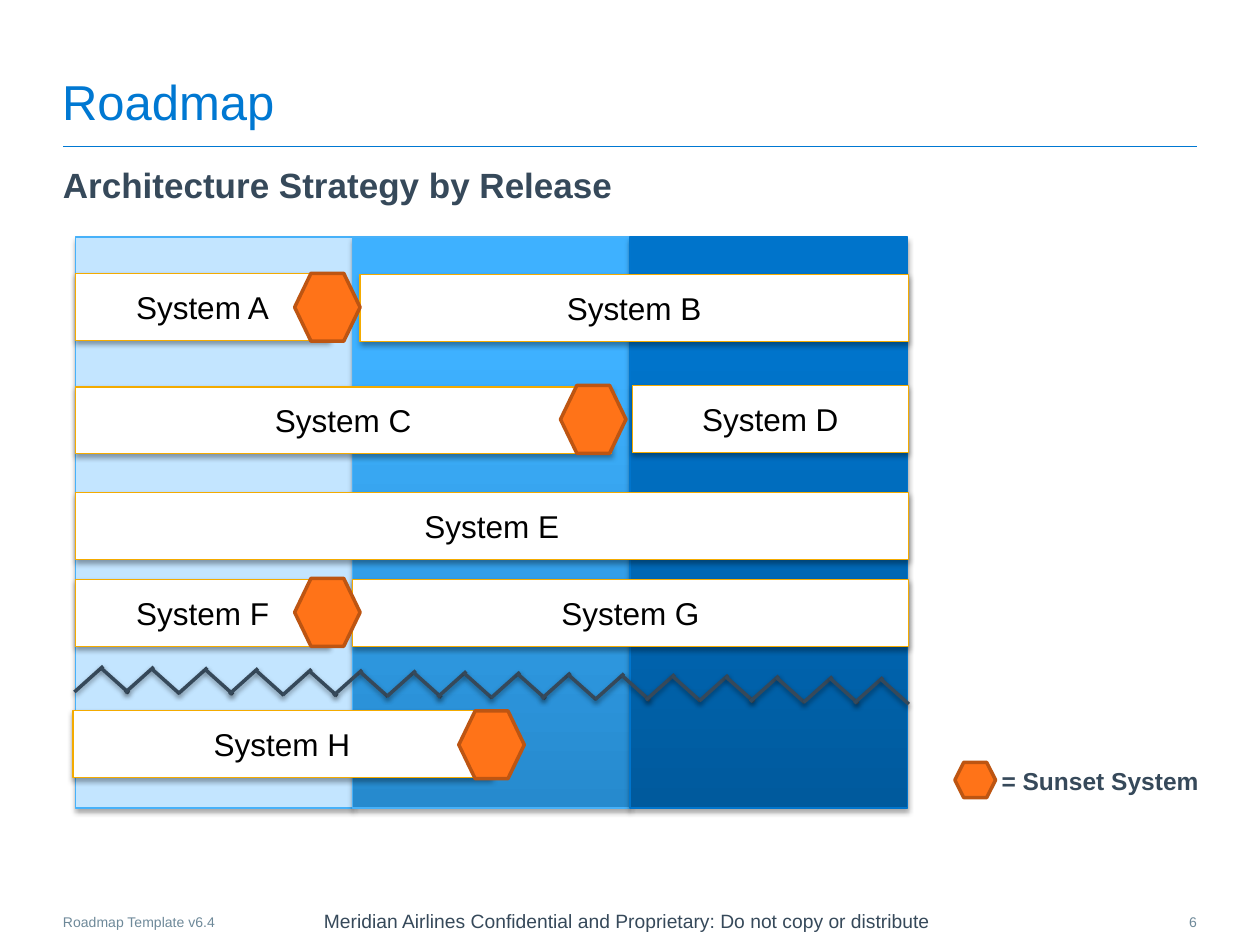
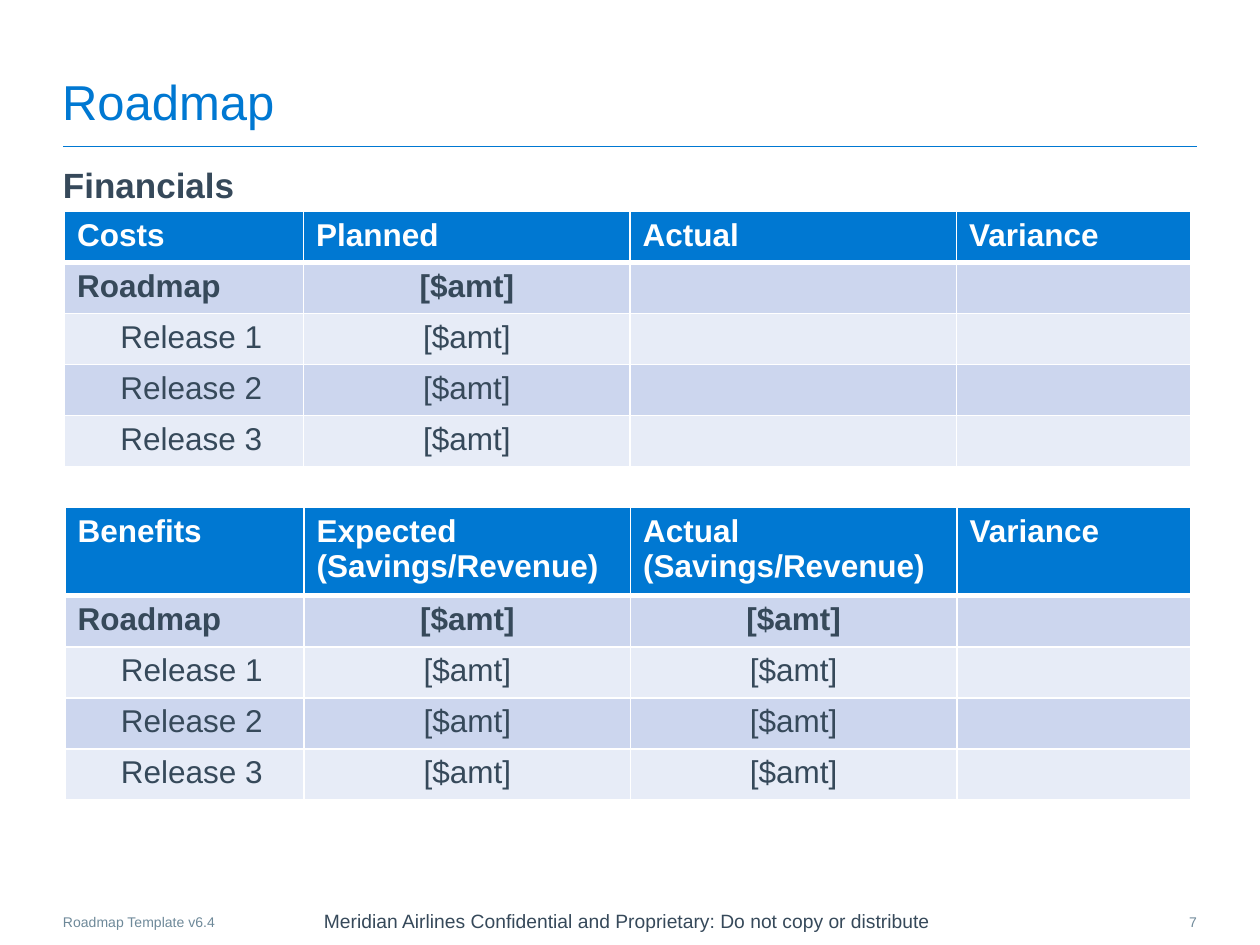
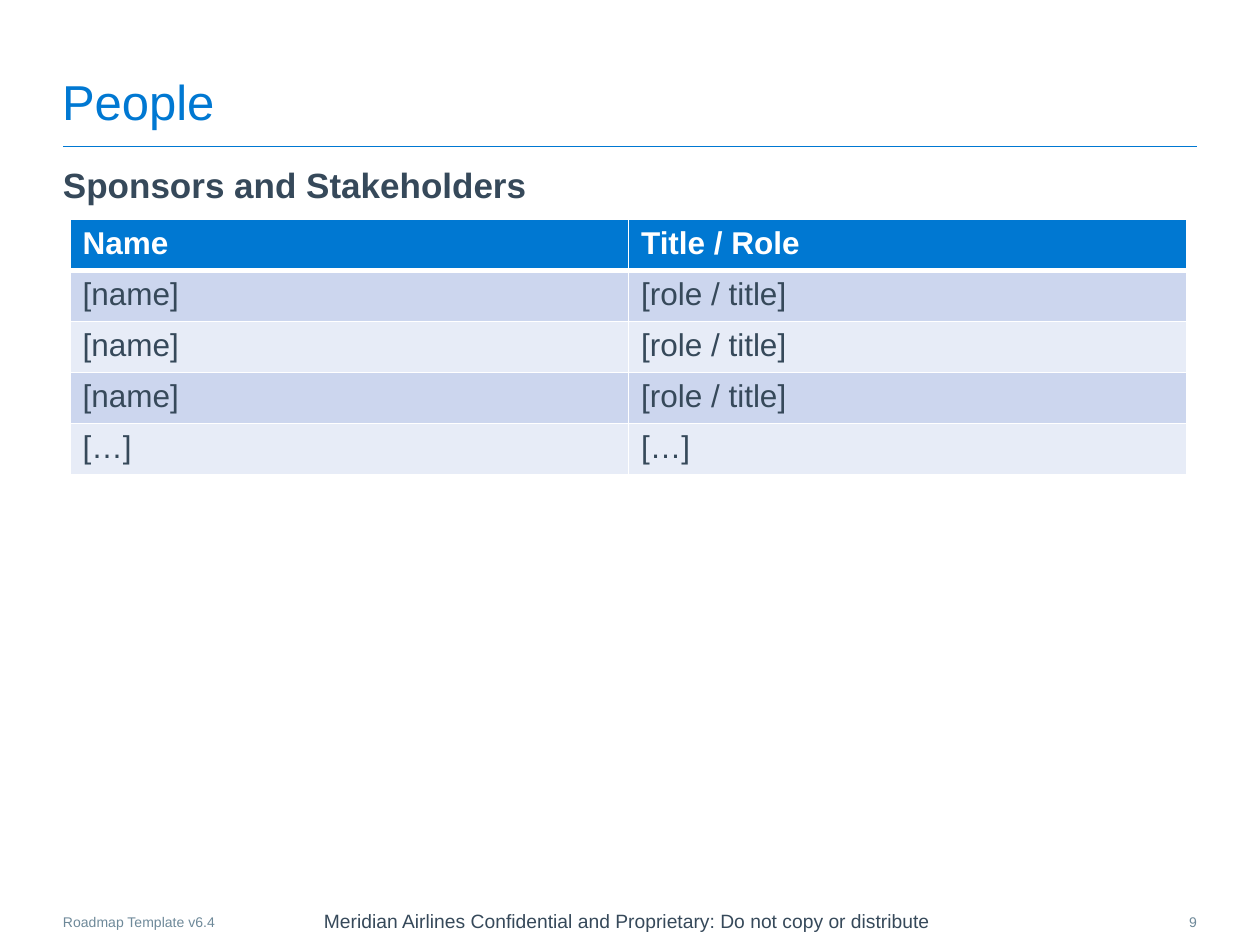
import dataclasses

import lxml.etree
import pptx
import pptx.dml.color
import pptx.enum.shapes
import pptx.enum.text
import pptx.oxml.ns
import pptx.util

Cm = pptx.util.Cm
Pt = pptx.util.Pt
qn = pptx.oxml.ns.qn
SHAPE = pptx.enum.shapes.MSO_SHAPE
ALIGN = pptx.enum.text.PP_ALIGN
ANCHOR = pptx.enum.text.MSO_ANCHOR


@dataclasses.dataclass(frozen=True)
class Theme:
    """Colours and type sizes of the deck."""
    font: str = "Arial"
    blue: str = "0078D2"
    slate: str = "36495A"
    grey: str = "6E8999"
    white: str = "FFFFFF"
    black: str = "000000"
    bar_line: str = "F4AB00"
    sunset: str = "FF7318"
    sunset_line: str = "BD5512"
    bands: tuple = ("CCD6EE", "E7ECF7")
    releases: tuple = (
        (("C3E5FF",), "47B1F9"),
        (("268ACE", "3EB1FF"), "47B1F9"),
        (("005A9D", "0074CB"), "0075CD"),
    )
    title: int = 28
    heading: int = 20
    body: int = 18
    legend: int = 14
    notice: int = 11
    small: int = 8


THEME = Theme()
AMOUNT = "[$amt]"
FINANCE_COLS = (4.82, 6.58, 6.58, 4.72)
SYSTEMS = (
    ("System A", 1.52, 5.51, 5.13),
    ("System B", 7.26, 5.54, 11.05),
    ("System C", 1.52, 7.8, 10.8),
    ("System D", 12.75, 7.77, 5.56),
    ("System E", 1.52, 9.93, 16.79),
    ("System F", 1.52, 11.68, 5.13),
    ("System G", 7.11, 11.68, 11.2),
    ("System H", 1.47, 14.33, 8.43),
)
SUNSETS = ((5.94, 5.51), (11.3, 7.77), (5.94, 11.66), (9.25, 14.33))


def rgb(value):
    """Return the colour for a hex string."""
    return pptx.dml.color.RGBColor.from_string(value)


def write(tf, text, size, color, bold=False, align=ALIGN.LEFT):
    """Fill a text frame, one paragraph for each line."""
    for i, line in enumerate(text.split("\n")):
        p = tf.add_paragraph() if i else tf.paragraphs[0]
        p.alignment = align
        r = p.add_run()
        r.text = line
        r.font.name = THEME.font
        r.font.size = Pt(size)
        r.font.bold = bold
        r.font.color.rgb = rgb(color)


def set_margins(tf, margin):
    """Give all four sides of a text frame the same inset."""
    tf.margin_left = tf.margin_right = tf.margin_top = tf.margin_bottom = margin


def add_text(s, box, text, size, color, margin=0, wrap=True,
             anchor=ANCHOR.TOP, **style):
    """Add a text box with its box given in centimetres."""
    tf = s.shapes.add_textbox(*map(Cm, box)).text_frame
    tf.word_wrap = wrap
    tf.vertical_anchor = anchor
    set_margins(tf, Cm(margin))
    write(tf, text, size, color, **style)


def set_effects(sp, opacity=0, distance=1.8):
    """Replace the style's shadow by a soft drop shadow, or by none."""
    effects = lxml.etree.SubElement(sp._element.spPr, qn("a:effectLst"))
    if opacity:
        shadow = lxml.etree.SubElement(
            effects, qn("a:outerShdw"), blurRad=str(Pt(3.1)),
            dist=str(Pt(distance)), dir="5400000", rotWithShape="0")
        color = lxml.etree.SubElement(shadow, qn("a:srgbClr"), val=THEME.black)
        lxml.etree.SubElement(color, qn("a:alpha"), val=str(opacity * 1000))


def add_line(shapes, start, end, color, width, opacity=0):
    """Add a straight line between two points."""
    sp = shapes.add_connector(pptx.enum.shapes.MSO_CONNECTOR.STRAIGHT,
                              *map(Cm, start + end))
    sp.line.color.rgb = rgb(color)
    sp.line.width = Pt(width)
    set_effects(sp, opacity, 1.6)


def add_block(shapes, kind, box, fills, line, width=0.75, opacity=0):
    """Add an outlined shape with a plain fill or a rising gradient."""
    sp = shapes.add_shape(kind, *map(Cm, box))
    if len(fills) == 1:
        sp.fill.solid()
        sp.fill.fore_color.rgb = rgb(fills[0])
    else:
        sp.fill.gradient()
        sp.fill.gradient_angle = 90
        for stop, color, position in zip(sp.fill.gradient_stops, fills, (0, 0.8)):
            stop.color.rgb = rgb(color)
            stop.position = position
    sp.line.color.rgb = rgb(line)
    sp.line.width = Pt(width)
    set_effects(sp, opacity)
    return sp


def add_system(shapes, name, x, y, w):
    """Add the bar of one system."""
    sp = add_block(shapes, SHAPE.RECTANGLE, (x, y, w, 1.35), (THEME.white,),
                   THEME.bar_line, opacity=35)
    sp.text_frame.vertical_anchor = ANCHOR.MIDDLE
    write(sp.text_frame, name, THEME.body, THEME.black, align=ALIGN.CENTER)


def add_sunset(shapes, x, y, w=1.32, h=1.37):
    """Add the hexagon that marks the end of a system."""
    add_block(shapes, SHAPE.HEXAGON, (x, y, w, h), (THEME.sunset,),
              THEME.sunset_line, 2)


def add_zigzag(shapes):
    """Add the gently falling break line across the releases."""
    for i in range(16):
        x = 1.5 + 2.1 * (i // 2) + 1.02 * (i % 2)
        y = 13.95 + 0.015 * i
        for start, end in (((x, y), (x + 0.58, y - 0.52)),
                           ((x + 1.1, y + 0.02), (x + 0.53, y - 0.49))):
            add_line(shapes, start, end, THEME.slate, 2, 38)


def set_borders(cell, top, bottom):
    """Draw white borders round a table cell."""
    tc_pr = cell._tc.get_or_add_tcPr()
    for side, width in (("L", 1), ("R", 1), ("T", top), ("B", bottom)):
        ln = lxml.etree.SubElement(tc_pr, qn("a:ln" + side), w=str(Pt(width)))
        fill = lxml.etree.SubElement(ln, qn("a:solidFill"))
        lxml.etree.SubElement(fill, qn("a:srgbClr"), val=THEME.white)


def add_grid(s, x, y, widths, rows, header_height=1.03, financial=False):
    """Add a banded table; a financial one has a total row and indented parts."""
    shape = s.shapes.add_table(len(rows), len(widths), Cm(x), Cm(y),
                               Cm(sum(widths)),
                               Cm(header_height + 1.03 * (len(rows) - 1)))
    table = shape.table
    for column, width in zip(table.columns, widths):
        column.width = Cm(width)
    for i, row in enumerate(rows):
        table.rows[i].height = Cm(1.03 if i else header_height)
        fill = THEME.bands[(i - 1) % 2] if i else THEME.blue
        color = THEME.slate if i else THEME.white
        bold = i == 0 or financial and i == 1
        for j, text in enumerate(row):
            cell = table.cell(i, j)
            set_borders(cell, 3 if i == 1 else 1, 1 if i else 3)
            cell.fill.solid()
            cell.fill.fore_color.rgb = rgb(fill)
            if financial and i > 1 and j == 0:
                cell.margin_left = Cm(1.13)
            centred = financial and i and j
            if text:
                write(cell.text_frame, text, THEME.body, color, bold,
                      ALIGN.CENTER if centred else ALIGN.LEFT)


def finance_rows(header, amounts):
    """Return a header, the roadmap total and three releases."""
    names = ["Roadmap"] + [f"Release {n}" for n in range(1, 4)]
    values = [AMOUNT] * amounts + [""] * (3 - amounts)
    return [header] + [[name] + values for name in names]


def add_page(prs, title, heading, number):
    """Add a slide with title, rule, heading and footers."""
    s = prs.slides.add_slide(prs.slide_layouts[5])
    sp = s.shapes.title
    sp.left, sp.top, sp.width, sp.height = map(Cm, (1.25, 1.07, 22.9, 1.55))
    tf = sp.text_frame
    tf.vertical_anchor = ANCHOR.BOTTOM
    set_margins(tf, 0)
    write(tf, title, THEME.title, THEME.blue)
    add_line(s.shapes, (1.27, 2.95), (24.13, 2.95), THEME.blue, 0.5)
    add_text(s, (1.27, 3.3, 22.86, 0.9), heading, THEME.heading, THEME.slate,
             bold=True)
    add_text(s, (5.1, 18.24, 15.09, 0.66),
             "Meridian Airlines Confidential and Proprietary: "
             "Do not copy or distribute",
             THEME.notice, THEME.slate, margin=0.13, wrap=False,
             anchor=ANCHOR.MIDDLE, align=ALIGN.CENTER)
    add_text(s, (1.27, 18.42, 4.5, 0.36), "Roadmap Template v6.4",
             THEME.small, THEME.grey)
    add_text(s, (23.24, 18.42, 0.89, 0.38), str(number), THEME.small,
             THEME.grey, align=ALIGN.RIGHT)
    return s


def build_strategy(prs):
    """Build the systems by release."""
    s = add_page(prs, "Roadmap", "Architecture Strategy by Release", 6)
    shapes = s.shapes.add_group_shape().shapes
    for i, (fills, line) in enumerate(THEME.releases):
        add_block(shapes, SHAPE.RECTANGLE, (1.52 + 5.59 * i, 4.78, 5.59, 11.51),
                  fills, line, opacity=35)
    add_zigzag(shapes)
    for system in SYSTEMS:
        add_system(shapes, *system)
    for x, y in SUNSETS:
        add_sunset(shapes, x, y)
    add_sunset(s.shapes, 19.25, 15.37, 0.82, 0.71)
    add_text(s, (19.99, 15.24, 4.57, 0.86), "= Sunset System", THEME.legend,
             THEME.slate, margin=0.2, bold=True)


def build_financials(prs):
    """Build the cost and benefit tables."""
    s = add_page(prs, "Roadmap", "Financials", 7)
    costs = ["Costs", "Planned", "Actual", "Variance"]
    benefits = ["Benefits", "Expected\n(Savings/Revenue)",
                "Actual\n(Savings/Revenue)", "Variance"]
    add_grid(s, 1.3, 4.26, FINANCE_COLS, finance_rows(costs, 1), financial=True)
    add_grid(s, 1.31, 10.23, FINANCE_COLS, finance_rows(benefits, 2), 1.7, True)


def build_people(prs):
    """Build the sponsor and stakeholder table."""
    s = add_page(prs, "People", "Sponsors and Stakeholders", 9)
    rows = [["Name", "Title / Role"]] + [["[name]", "[role / title]"]] * 3
    add_grid(s, 1.41, 4.42, (11.26, 11.26), rows + [["[…]", "[…]"]])


def main():
    """Build and save the deck."""
    prs = pptx.Presentation()
    prs.slide_width, prs.slide_height = Cm(25.4), Cm(19.05)
    build_strategy(prs)
    build_financials(prs)
    build_people(prs)
    prs.save("out.pptx")


if __name__ == "__main__":
    main()
